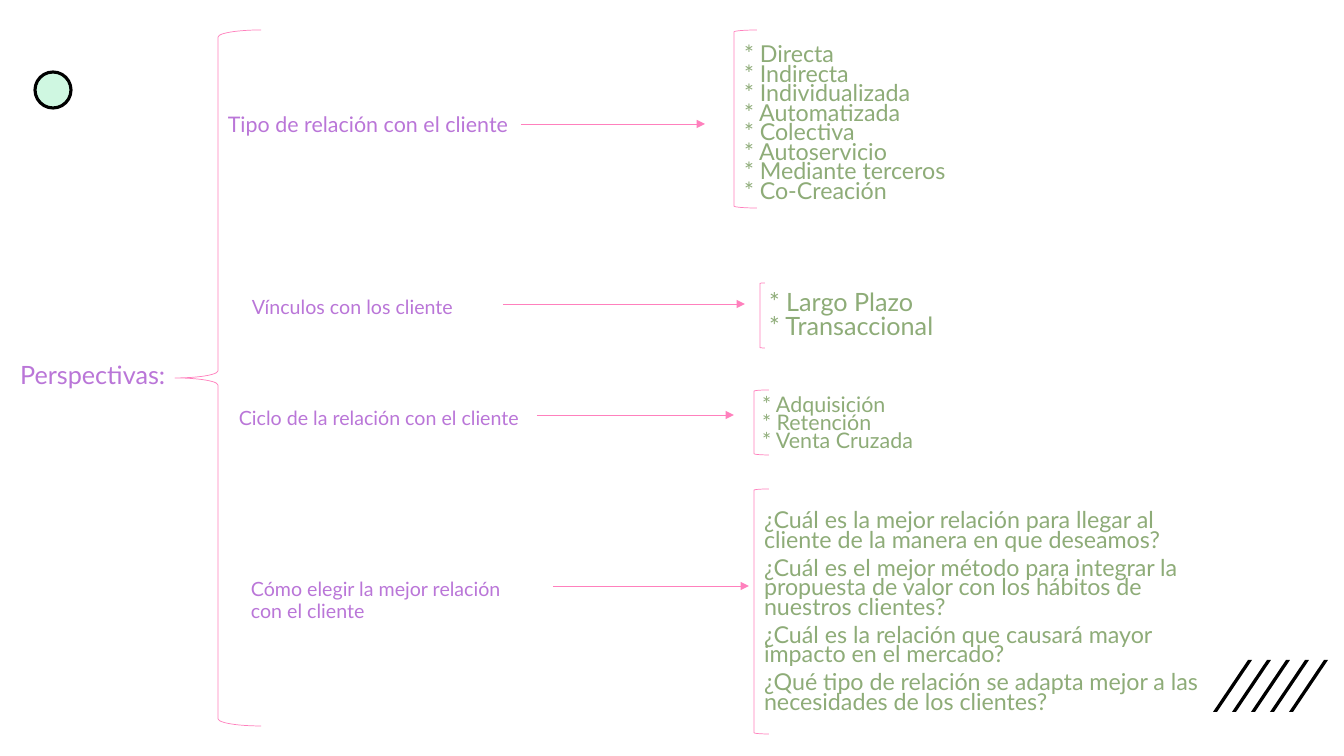
import lxml.etree
import pptx
import pptx.dml.color
import pptx.enum.shapes
import pptx.enum.text
import pptx.oxml.ns
import pptx.util

SHAPES = pptx.enum.shapes.MSO_SHAPE
EMU_PER_PX = 914400 / 100.8


def px(*lengths):
    return [round(length * EMU_PER_PX) for length in lengths]


def colour(hex_string):
    return pptx.dml.color.RGBColor.from_string(hex_string)


class Diagram:
    FONT = "Lato"
    LABEL = "BA76D8"
    LIST = "8EAC78"
    PINK = "FF80BD"
    BLACK = "000000"
    MINT = "CFF7E1"

    def __init__(self, slide):
        self.slide = slide

    def set_text(self, holder, paragraphs, size, ink, spacing):
        frame = holder.text_frame
        frame.word_wrap = True
        frame.auto_size = pptx.enum.text.MSO_AUTO_SIZE.NONE
        frame.vertical_anchor = pptx.enum.text.MSO_ANCHOR.TOP
        frame.text = "\n".join(paragraphs)
        for paragraph in frame.paragraphs:
            paragraph.alignment = pptx.enum.text.PP_ALIGN.LEFT
            paragraph.line_spacing = spacing
            paragraph.space_before = pptx.util.Pt(0)
            paragraph.space_after = pptx.util.Pt(6)
            paragraph.font.name = self.FONT
            paragraph.font.size = pptx.util.Pt(size)
            paragraph.font.bold = False
            paragraph.font.color.rgb = colour(ink)

    def placeholder(self, index, box, paragraphs, size, ink, spacing):
        holder = self.slide.placeholders[index]
        holder.left, holder.top, holder.width, holder.height = px(*box)
        self.set_text(holder, paragraphs, size, ink, spacing)
        return holder

    def title(self, box, text, size):
        self.placeholder(0, box, [text], size, self.LABEL, 0.9)

    def plain_list(self, index, box, paragraphs, size, spacing):
        """Fill a body placeholder without the template's bullets."""
        holder = self.placeholder(index, box, paragraphs, size, self.LIST, spacing)
        for paragraph in holder.text_frame.paragraphs:
            properties = paragraph._p.get_or_add_pPr()
            properties.set("marL", "0")
            properties.set("indent", "0")
            no_bullet = lxml.etree.Element(pptx.oxml.ns.qn("a:buNone"))
            properties.find(pptx.oxml.ns.qn("a:spcAft")).addnext(no_bullet)

    def label(self, box, text, size, spacing):
        holder = self.slide.shapes.add_textbox(*px(*box))
        self.set_text(holder, [text], size, self.LABEL, spacing)

    def outline(self, kind, box):
        """Draw a brace or bracket."""
        shape = self.slide.shapes.add_shape(kind, *px(*box))
        shape.shadow.inherit = False
        shape.fill.background()
        shape.line.color.rgb = colour(self.PINK)
        shape.line.width = pptx.util.Pt(0.5)

    def arrow(self, left, right, y):
        connector = self.slide.shapes.add_connector(
            pptx.enum.shapes.MSO_CONNECTOR.STRAIGHT, *px(left, y, right, y))
        connector.line.color.rgb = colour(self.PINK)
        connector.line.width = pptx.util.Pt(0.5)
        line = connector.line._get_or_add_ln()
        lxml.etree.SubElement(line, pptx.oxml.ns.qn("a:tailEnd"), type="triangle")
        lxml.etree.SubElement(connector._element.spPr, pptx.oxml.ns.qn("a:effectLst"))

    def dot(self, box):
        shape = self.slide.shapes.add_shape(SHAPES.OVAL, *px(*box))
        shape.shadow.inherit = False
        shape.fill.solid()
        shape.fill.fore_color.rgb = colour(self.MINT)
        shape.line.color.rgb = colour(self.BLACK)
        shape.line.width = pptx.util.Pt(2.25)

    def stripe(self, left, top, width, height, thickness):
        right, bottom = left + width, top + height
        builder = self.slide.shapes.build_freeform(left, bottom, EMU_PER_PX)
        builder.add_line_segments([(right - thickness, top), (right, top),
                                   (left + thickness, bottom)])
        shape = builder.convert_to_shape()
        shape.shadow.inherit = False
        shape.fill.solid()
        shape.fill.fore_color.rgb = colour(self.BLACK)
        shape.line.fill.background()


RELATION_TYPES = ["Directa", "Indirecta", "Individualizada", "Automatizada",
                  "Colectiva", "Autoservicio", "Mediante terceros", "Co-Creación"]
BONDS = ["Largo Plazo", "Transaccional"]
CYCLE = ["Adquisición", "Retención", "Venta Cruzada"]
QUESTIONS = [
    "¿Cuál es la mejor relación para llegar al cliente de la manera en que deseamos?",
    "¿Cuál es el mejor método para integrar la propuesta de valor con los hábitos"
    " de nuestros clientes?",
    "¿Cuál es la relación que causará mayor impacto en el mercado?",
    "¿Qué tipo de relación se adapta mejor a las necesidades de los clientes?",
]


def starred(items):
    """Join the items as one paragraph with line breaks."""
    return ["\v".join(f"* {item}" for item in items)]


# label, its box, size, spacing; arrow; bracket; list box, paragraphs, size, spacing
BRANCHES = [
    (("Tipo de relación con el cliente", (218, 111, 304, 46), 15.3, 0.8),
     (521, 705, 124), (734, 30, 23, 178),
     ((734, 42, 276, 198), starred(RELATION_TYPES), 16.6, 0.7)),
    (("Vínculos con los cliente", (242, 293, 389, 31), 14, 0.9),
     (503, 745, 304), (760, 283, 5, 65),
     ((759, 287, 240, 90), starred(BONDS), 18, 0.8)),
    (("Ciclo de la relación con el cliente", (229, 404, 304, 57), 14, 0.9),
     (537, 734, 415), (754, 390, 15, 65),
     ((752, 393, 276, 112), starred(CYCLE), 15.3, 0.7)),
    (("Cómo elegir la mejor relación con el cliente", (241, 575, 304, 57), 14, 0.9),
     (553, 749, 586), (754, 489, 15, 245),
     ((754, 508, 477, 248), QUESTIONS, 16.6, 0.7)),
]


def main():
    deck = pptx.Presentation()
    deck.slide_width, deck.slide_height = px(1344, 756)
    comparison = deck.slide_layouts[4]
    diagram = Diagram(deck.slides.add_slide(comparison))

    for number in range(5):
        diagram.stripe(1213 + 19 * number, 660, 39, 52, 4)
    diagram.dot((35, 72, 36, 36))
    diagram.title((10, 358, 276, 46), "Perspectivas:", 18)
    diagram.outline(SHAPES.LEFT_BRACE, (175, 30, 86, 696))
    for index, (label, arrow, bracket, entries) in enumerate(BRANCHES, start=1):
        text, box, size, spacing = label
        diagram.label(box, text, size, spacing)
        diagram.arrow(*arrow)
        diagram.outline(SHAPES.LEFT_BRACKET, bracket)
        diagram.plain_list(index, *entries)
    deck.save("out.pptx")


if __name__ == "__main__":
    main()
